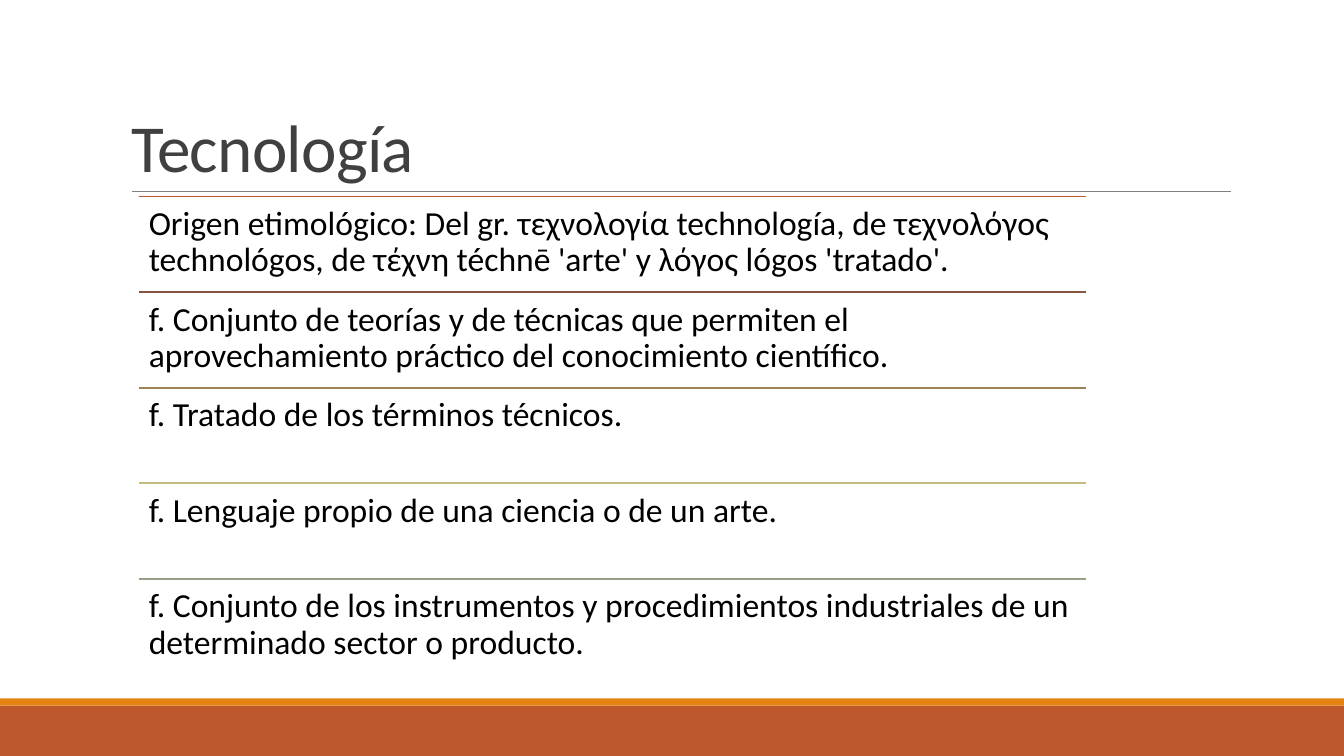
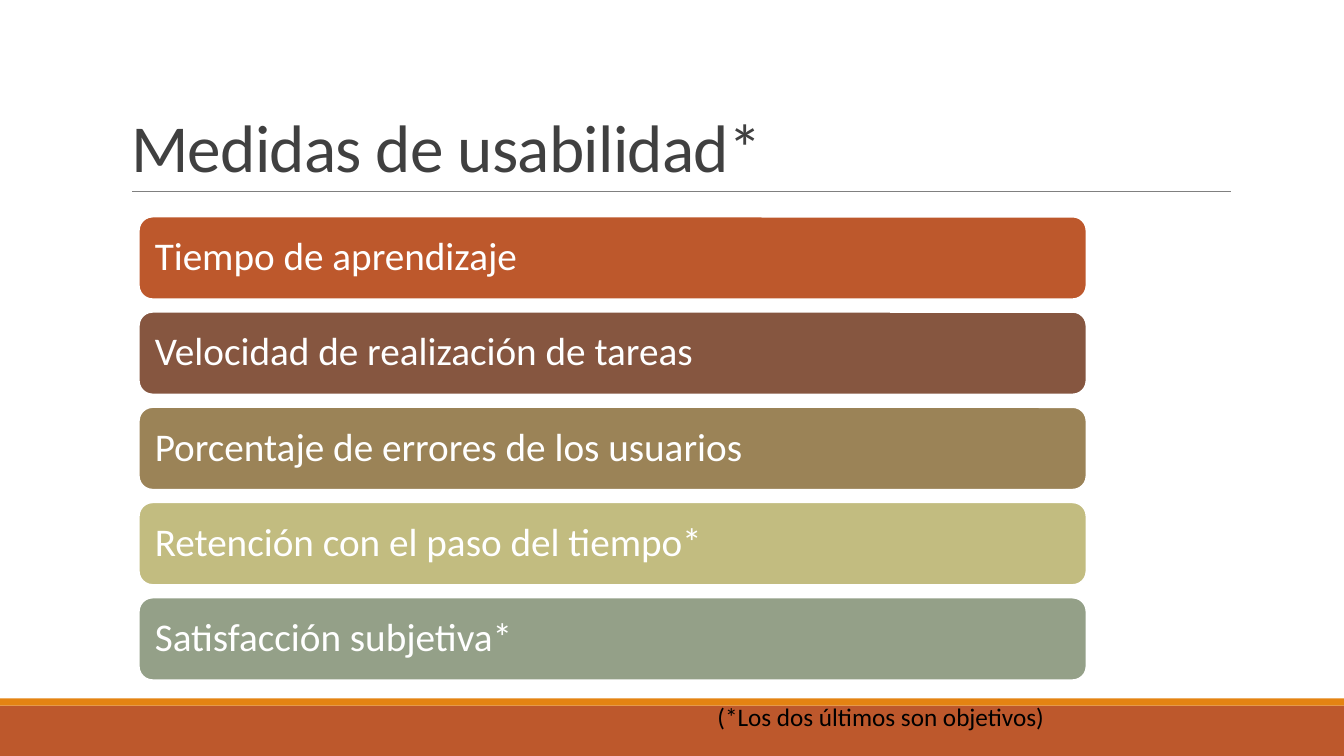
from lxml import etree
from pptx import Presentation
from pptx import util as u
from pptx.dml.color import RGBColor
from pptx.enum import shapes, text
from pptx.oxml import ns

# Content
DEFINITIONS = (
    "Tecnología",
    [
        "Origen etimológico: Del gr. τεχνολογία technología, de τεχνολόγος "
        "technológos, de τέχνη téchnē 'arte' y λόγος lógos 'tratado'.",
        "f. Conjunto de teorías y de técnicas que permiten el "
        "aprovechamiento práctico del conocimiento científico.",
        "f. Tratado de los términos técnicos.",
        "f. Lenguaje propio de una ciencia o de un arte.",
        "f. Conjunto de los instrumentos y procedimientos industriales de un "
        "determinado sector o producto.",
    ],
)
MEASURES = (
    "Medidas de usabilidad*",
    [
        "Tiempo de aprendizaje",
        "Velocidad de realización de tareas",
        "Porcentaje de errores de los usuarios",
        "Retención con el paso del tiempo*",
        "Satisfacción subjetiva*",
    ],
)
FOOTNOTE = "(*Los dos últimos son objetivos)"

# Shared style, lengths in cm
FONT = "Calibri"
ACCENTS = ["BD582C", "865640", "9B8357", "C2BC80", "94A088"]
ORANGE, GREY, DARK, BLACK, WHITE = "E48312", "808080", "404040", "000000", "FFFFFF"
WIDTH, HEIGHT = 33.87, 19.05
LEFT, LIST_W = 3.5, 23.88
BANDS = [(17.78, 1.27, ACCENTS[0]), (17.6, 0.18, ORANGE)]
TITLE_BOX = (3.05, 0.79, 27.94, 4.04)
ROW_TOP, ROW_STEP = 4.95, 2.41
BAR_TOP, BAR_STEP, BAR_H = 5.46, 2.4, 2.08


def color(value):
    return RGBColor.from_string(value)


def box(x, y, w, h):
    return [u.Cm(v) for v in (x, y, w, h)]


def write(sp, words, size, fill, spacing=None, tracking=None, inset=None,
          anchor=text.MSO_ANCHOR.TOP, fit=text.MSO_AUTO_SIZE.NONE):
    tf = sp.text_frame
    tf.word_wrap = True
    tf.auto_size = fit
    tf.vertical_anchor = anchor
    if inset is not None:
        tf.margin_left = tf.margin_right = u.Cm(inset)
        tf.margin_top = tf.margin_bottom = u.Cm(inset)
    p = tf.paragraphs[0]
    p.alignment = text.PP_ALIGN.LEFT
    p.line_spacing = spacing
    r = p.add_run()
    r.text = words
    r.font.name, r.font.size = FONT, u.Pt(size)
    r.font.color.rgb = color(fill)
    if tracking is not None:
        r.font._element.set("spc", str(int(tracking * 100)))


def add_block(slide, kind, x, y, w, h, fill, line=None):
    sp = slide.shapes.add_shape(kind, *box(x, y, w, h))
    sp.shadow.inherit = False
    sp.fill.solid()
    sp.fill.fore_color.rgb = color(fill)
    if line:
        sp.line.color.rgb = color(line)
        sp.line.width = u.Pt(1.25)
    else:
        sp.line.fill.background()
    return sp


def add_rule(slide, x, y, w, fill, weight):
    line = slide.shapes.add_connector(
        shapes.MSO_CONNECTOR.STRAIGHT, u.Cm(x), u.Cm(y), u.Cm(x + w), u.Cm(y))
    line.line.color.rgb = color(fill)
    line.line.width = u.Pt(weight)
    etree.SubElement(line.element.spPr, ns.qn("a:effectLst"))
    return line


def set_up_layout(layout, slide):
    """Draw the bands and title rule, then move them to the layout."""
    parts = [add_block(slide, shapes.MSO_SHAPE.RECTANGLE, 0, y, WIDTH, h, fill)
             for y, h, fill in BANDS]
    parts.append(add_rule(slide, 3.33, 4.83, 27.68, GREY, 0.5))
    for part in parts:
        layout.shapes.element.append(part.element)
    title = layout.placeholders[0]
    title.left, title.top, title.width, title.height = box(*TITLE_BOX)


def add_slide(prs, layout, title):
    slide = prs.slides.add_slide(layout)
    write(slide.shapes.title, title, 48, DARK, spacing=0.85, tracking=-0.5,
          anchor=text.MSO_ANCHOR.BOTTOM)
    return slide


def main():
    prs = Presentation()
    prs.slide_width, prs.slide_height = u.Cm(WIDTH), u.Cm(HEIGHT)
    layout = prs.slide_layouts[5]

    # Definitions, each under a coloured rule
    title, rows = DEFINITIONS
    slide = add_slide(prs, layout, title)
    set_up_layout(layout, slide)
    for i, (words, accent) in enumerate(zip(rows, ACCENTS)):
        y = ROW_TOP + i * ROW_STEP
        add_rule(slide, LEFT, y, LIST_W, accent, 1.25)
        sp = slide.shapes.add_textbox(*box(LEFT, y, LIST_W, ROW_STEP))
        write(sp, words, 24, BLACK, spacing=0.9, inset=0.25)

    # Measures in rounded bars
    title, bars = MEASURES
    slide = add_slide(prs, layout, title)
    for i, (words, accent) in enumerate(zip(bars, ACCENTS)):
        sp = add_block(slide, shapes.MSO_SHAPE.ROUNDED_RECTANGLE, LEFT,
                       BAR_TOP + i * BAR_STEP, LIST_W, BAR_H, accent, WHITE)
        write(sp, words, 28, WHITE, spacing=0.9, inset=0.3,
              anchor=text.MSO_ANCHOR.MIDDLE)

    # Footnote
    sp = slide.shapes.add_textbox(*box(17.83, 17.55, 9.88, 1.8))
    write(sp, FOOTNOTE, 18, BLACK, fit=text.MSO_AUTO_SIZE.SHAPE_TO_FIT_TEXT)

    prs.save("out.pptx")


if __name__ == "__main__":
    main()
